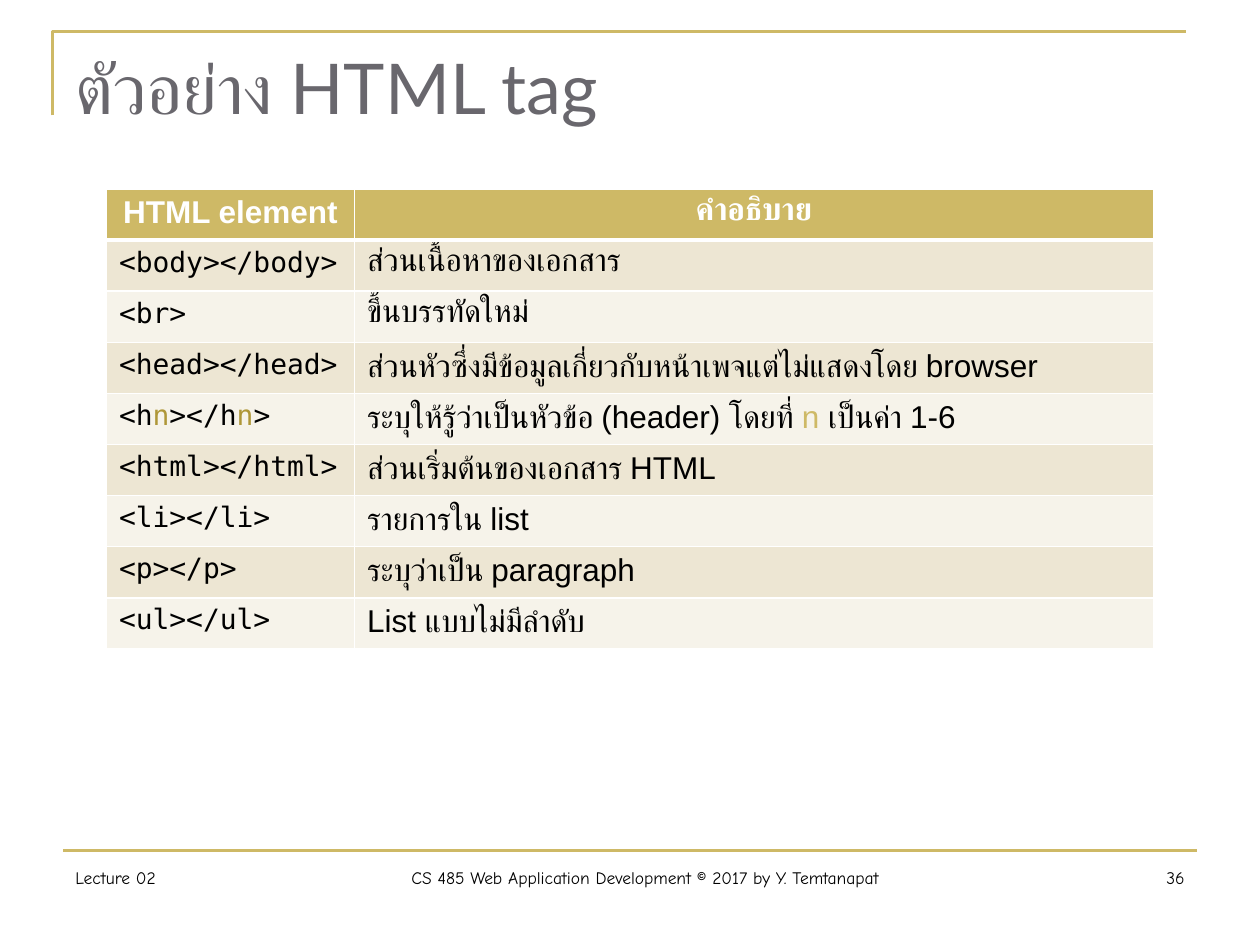
from dataclasses import dataclass

from lxml import etree
from pptx import Presentation
from pptx.dml.color import RGBColor
from pptx.enum.text import MSO_ANCHOR, MSO_AUTO_SIZE, PP_ALIGN
from pptx.enum.shapes import MSO_CONNECTOR
from pptx.oxml.ns import qn
from pptx.util import Pt

LEFT, CENTER, RIGHT = PP_ALIGN.LEFT, PP_ALIGN.CENTER, PP_ALIGN.RIGHT
TOP = MSO_ANCHOR.TOP
NO_AUTOFIT = MSO_AUTO_SIZE.NONE
STRAIGHT = MSO_CONNECTOR.STRAIGHT

GOLD = RGBColor(0xCE, 0xB9, 0x66)
DARK_GOLD = RGBColor(0xAF, 0x97, 0x38)
GRAY = RGBColor(0x69, 0x67, 0x6D)
BLACK = RGBColor(0, 0, 0)
WHITE = RGBColor(0xFF, 0xFF, 0xFF)
BANDS = (RGBColor(0xED, 0xE6, 0xD3), RGBColor(0xF6, 0xF3, 0xEA))

TITLE_FONT, BODY_FONT = "Lato", "Arial"
CODE_FONT, FOOTER_FONT = "DejaVu Sans Mono", "Comic Neue"

COLUMN_WIDTHS = (141.8, 456.5)
ROW_HEIGHT = 29.2


@dataclass(frozen=True)
class Accent:
    text: str


@dataclass(frozen=True)
class Tag:
    code: tuple
    meaning: tuple


@dataclass(frozen=True)
class FooterPart:
    text: str
    left: float
    width: float
    align: PP_ALIGN


N = Accent("n")
TAGS = (
    Tag(("<body></body>",), ("ส่วนเนื้อหาของเอกสาร",)),
    Tag(("<br>",), ("ขึ้นบรรทัดใหม่",)),
    Tag(("<head></head>",),
        ("ส่วนหัวซึ่งมีข้อมูลเกี่ยวกับหน้าเพจแต่ไม่แสดงโดย browser",)),
    Tag(("<h", N, "></h", N, ">"),
        ("ระบุให้รู้ว่าเป็นหัวข้อ (header) โดยที่ ", Accent("n "), "เป็นค่า 1-6")),
    Tag(("<html></html>",), ("ส่วนเริ่มต้นของเอกสาร HTML",)),
    Tag(("<li></li>",), ("รายการใน list",)),
    Tag(("<p></p>",), ("ระบุว่าเป็น paragraph",)),
    Tag(("<ul></ul>",), ("List แบบไม่มีลำดับ",)),
)
FOOTER = (
    FooterPart("Lecture 02", 36, 116, LEFT),
    FooterPart("CS 485 Web Application Development © 2017 by Y. Temtanapat",
               152, 433, CENTER),
    FooterPart("36", 585, 99, RIGHT),
)


def write_text(frame, parts: tuple, *, font: str, size: float,
               color: RGBColor = BLACK, accent: RGBColor = GOLD,
               bold: bool = False, align: PP_ALIGN = LEFT) -> None:
    paragraph = frame.paragraphs[0]
    paragraph.alignment = align
    for part in parts:
        accented = isinstance(part, Accent)
        run = paragraph.add_run()
        run.text = part.text if accented else part
        run.font.name = font
        run.font.size = Pt(size)
        run.font.bold = bold
        run.font.color.rgb = accent if accented else color


def style_line(shape) -> None:
    shape.line.color.rgb = GOLD
    shape.line.width = Pt(1.5)


def draw_rules(slide) -> None:
    builder = slide.shapes.build_freeform(Pt(30), Pt(66))
    builder.add_line_segments([(Pt(30), Pt(18)), (Pt(678), Pt(18))], close=False)
    corner = builder.convert_to_shape()
    corner.shadow.inherit = False
    corner.fill.background()
    style_line(corner)

    footer_rule = slide.shapes.add_connector(
        STRAIGHT, Pt(36), Pt(486), Pt(684), Pt(486))
    etree.SubElement(footer_rule._element.spPr, qn("a:effectLst"))
    style_line(footer_rule)


def draw_title(slide) -> None:
    title = slide.shapes.title
    title.left, title.top, title.width, title.height = map(Pt, (36, 21.6, 648, 90))
    frame = title.text_frame
    frame.vertical_anchor = TOP
    frame.auto_size = NO_AUTOFIT
    write_text(frame, ("ตัวอย่าง HTML tag",), font=TITLE_FONT, size=40, color=GRAY)


def set_borders(cell, *, top: float = 1, bottom: float = 1) -> None:
    properties = cell._tc.get_or_add_tcPr()
    widths = {"L": 1, "R": 1, "T": top, "B": bottom}
    for index, (side, width) in enumerate(widths.items()):
        border = etree.Element(qn(f"a:ln{side}"), w=str(Pt(width)))
        fill = etree.SubElement(border, qn("a:solidFill"))
        etree.SubElement(fill, qn("a:srgbClr"), val=str(WHITE))
        properties.insert(index, border)


def fill_cell(cell, color: RGBColor) -> None:
    cell.fill.solid()
    cell.fill.fore_color.rgb = color


def draw_table(slide) -> None:
    row_count = len(TAGS) + 1
    table = slide.shapes.add_table(
        row_count, len(COLUMN_WIDTHS), Pt(60.8), Pt(108),
        Pt(sum(COLUMN_WIDTHS)), Pt(ROW_HEIGHT * row_count)).table
    for column, width in zip(table.columns, COLUMN_WIDTHS):
        column.width = Pt(width)
    for row in table.rows:
        row.height = Pt(ROW_HEIGHT)

    for column, heading in enumerate(("HTML element", "คำอธิบาย")):
        cell = table.cell(0, column)
        fill_cell(cell, GOLD)
        set_borders(cell, bottom=3)
        write_text(cell.text_frame, (heading,), font=BODY_FONT, size=18,
                   color=WHITE, bold=True, align=CENTER)

    for row, tag in enumerate(TAGS, start=1):
        code, meaning = table.cell(row, 0), table.cell(row, 1)
        for cell in (code, meaning):
            fill_cell(cell, BANDS[(row - 1) % 2])
            set_borders(cell, top=3 if row == 1 else 1)
        write_text(code.text_frame, tag.code, font=CODE_FONT, size=16,
                   accent=DARK_GOLD)
        write_text(meaning.text_frame, tag.meaning, font=BODY_FONT, size=18)


def draw_footer(slide, part: FooterPart) -> None:
    box = slide.shapes.add_textbox(Pt(part.left), Pt(492), Pt(part.width), Pt(36))
    box.text_frame.word_wrap = True
    write_text(box.text_frame, (part.text,), font=FOOTER_FONT, size=10,
               align=part.align)


def main() -> None:
    deck = Presentation()
    deck.slide_width, deck.slide_height = Pt(720), Pt(540)
    slide = deck.slides.add_slide(deck.slide_layouts[5])
    draw_rules(slide)
    draw_title(slide)
    draw_table(slide)
    for part in FOOTER:
        draw_footer(slide, part)
    deck.save("out.pptx")


if __name__ == "__main__":
    main()
